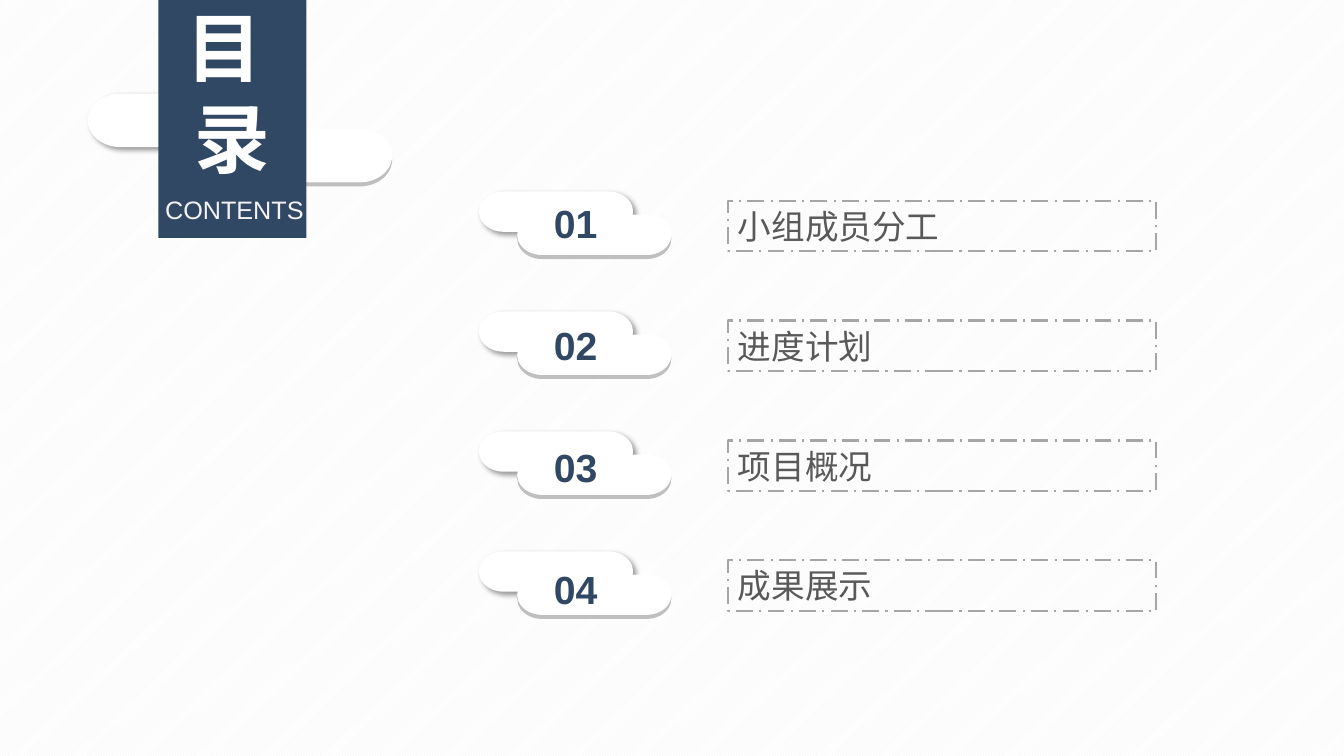
from dataclasses import dataclass

from lxml import etree
from pptx import Presentation
from pptx.dml.color import RGBColor
from pptx.enum.dml import MSO_LINE, MSO_PATTERN
from pptx.enum.shapes import MSO_SHAPE
from pptx.enum.text import MSO_ANCHOR, MSO_AUTO_SIZE, PP_ALIGN
from pptx.oxml.ns import qn
from pptx.util import Inches, Pt

RECTANGLE = MSO_SHAPE.RECTANGLE
PILL = MSO_SHAPE.FLOWCHART_TERMINATOR
STRIPES = MSO_PATTERN.LIGHT_UPWARD_DIAGONAL
DASH_DOT = MSO_LINE.LONG_DASH_DOT
CENTER, JUSTIFY = PP_ALIGN.CENTER, PP_ALIGN.JUSTIFY
TOP, MIDDLE = MSO_ANCHOR.TOP, MSO_ANCHOR.MIDDLE
FIT_SHAPE = MSO_AUTO_SIZE.SHAPE_TO_FIT_TEXT


@dataclass(frozen=True)
class Theme:
    font: str = "Arial"
    navy: RGBColor = RGBColor(0x31, 0x48, 0x65)
    white: RGBColor = RGBColor(0xFF, 0xFF, 0xFF)
    pale: RGBColor = RGBColor(0xF2, 0xF2, 0xF2)
    edge: RGBColor = RGBColor(0xBF, 0xBF, 0xBF)
    dash: RGBColor = RGBColor(0xA6, 0xA6, 0xA6)
    body: RGBColor = RGBColor(0x59, 0x59, 0x59)
    title_size: int = 54
    number_size: int = 28
    topic_size: int = 24
    caption_size: int = 18


@dataclass(frozen=True)
class Box:
    left: float
    top: float
    width: float
    height: float

    def lengths(self):
        return [Inches(v) for v in (self.left, self.top, self.width, self.height)]


@dataclass(frozen=True)
class Cloud:
    """Two overlapping pills: a back one with a shadow, a front one with a grey edge."""
    back: Box
    front: Box


@dataclass(frozen=True)
class TextStyle:
    size: int
    color: RGBColor
    bold: bool = False
    align: PP_ALIGN = CENTER
    anchor: MSO_ANCHOR = TOP
    inset: bool = True


THEME = Theme()
TITLE = TextStyle(THEME.title_size, THEME.white, True, anchor=MIDDLE, inset=False)
CAPTION = TextStyle(THEME.caption_size, THEME.pale, anchor=MIDDLE, inset=False)
NUMBER = TextStyle(THEME.number_size, THEME.navy, True)
TOPIC = TextStyle(THEME.topic_size, THEME.body, align=JUSTIFY)

TOPICS = ["小组成员分工", "进度计划", "项目概况", "成果展示"]
ROW_PITCH = 1.19
NUMBER_PITCH = 1.21
EDGE_DROP = 0.04


def write(shape, text: str, style: TextStyle) -> None:
    frame = shape.text_frame
    frame.text = text
    frame.word_wrap = True
    frame.auto_size = FIT_SHAPE
    frame.vertical_anchor = style.anchor
    if not style.inset:
        frame.margin_left = frame.margin_right = 0
        frame.margin_top = frame.margin_bottom = 0
    for paragraph in frame.paragraphs:
        paragraph.alignment = style.align
        for run in paragraph.runs:
            run.font.name = THEME.font
            run.font.size = Pt(style.size)
            run.font.bold = style.bold
            run.font.color.rgb = style.color


def add_filled(shapes, preset: MSO_SHAPE, box: Box, color: RGBColor):
    shape = shapes.add_shape(preset, *box.lengths())
    shape.shadow.inherit = False
    shape.fill.solid()
    shape.fill.fore_color.rgb = color
    shape.line.fill.background()
    return shape


def add_text(shapes, box: Box, text: str, style: TextStyle) -> None:
    write(shapes.add_textbox(*box.lengths()), text, style)


def cast_shadow(shape) -> None:
    effects = shape._element.spPr.find(qn("a:effectLst"))
    shadow = etree.SubElement(effects, qn("a:outerShdw"), blurRad=str(Pt(4)),
                              dist=str(Pt(3)), dir=str(45 * 60000),
                              algn="tl", rotWithShape="0")
    black = etree.SubElement(shadow, qn("a:srgbClr"), val="000000")
    etree.SubElement(black, qn("a:alpha"), val="40000")


def add_cloud(slide, cloud: Cloud):
    """Draw the cloud and return its group's shapes, so more can be added."""
    shapes = slide.shapes.add_group_shape().shapes
    front = cloud.front
    edge = Box(front.left, front.top + EDGE_DROP, front.width, front.height)
    add_filled(shapes, PILL, edge, THEME.edge)
    cast_shadow(add_filled(shapes, PILL, cloud.back, THEME.white))
    add_filled(shapes, PILL, front, THEME.white)
    return shapes


def add_banner(slide) -> None:
    add_cloud(slide, Cloud(Box(0.87, 0.93, 2.01, 0.53), Box(1.88, 1.28, 2.01, 0.53)))
    add_filled(slide.shapes, RECTANGLE, Box(1.57, 0, 1.47, 2.36), THEME.navy)

    title = slide.shapes.title
    title.left, title.top, title.width, title.height = Box(1.57, 0, 1.47, 1.82).lengths()
    write(title, "目 \n录", TITLE)
    slide.shapes._spTree.append(title._element)  # bring in front of the banner

    add_text(slide.shapes, Box(1.59, 1.93, 1.47, 0.3), "CONTENTS", CAPTION)


def add_topic(slide, row: int, topic: str) -> None:
    drop = row * ROW_PITCH
    frame = slide.shapes.add_shape(RECTANGLE, *Box(7.22, 1.99 + drop, 4.25, 0.5).lengths())
    frame.shadow.inherit = False
    frame.fill.background()
    frame.line.color.rgb = THEME.dash
    frame.line.width = Pt(1.5)
    frame.line.dash_style = DASH_DOT
    write(frame, topic, TOPIC)

    cloud = Cloud(Box(4.75, 1.9 + drop, 1.53, 0.4), Box(5.13, 2.13 + drop, 1.53, 0.4))
    number_box = Box(5.33, 1.93 + row * NUMBER_PITCH, 0.76, 0.57)
    add_text(add_cloud(slide, cloud), number_box, f"{row + 1:02}", NUMBER)


def main() -> None:
    deck = Presentation()
    deck.slide_width, deck.slide_height = Inches(13.33), Inches(7.5)
    slide = deck.slides.add_slide(deck.slide_layouts.get_by_name("Title Only"))

    backdrop = slide.background.fill
    backdrop.patterned()
    backdrop.pattern = STRIPES
    backdrop.fore_color.rgb = THEME.pale
    backdrop.back_color.rgb = THEME.white

    add_banner(slide)
    for row, topic in enumerate(TOPICS):
        add_topic(slide, row, topic)
    deck.save("out.pptx")


if __name__ == "__main__":
    main()
